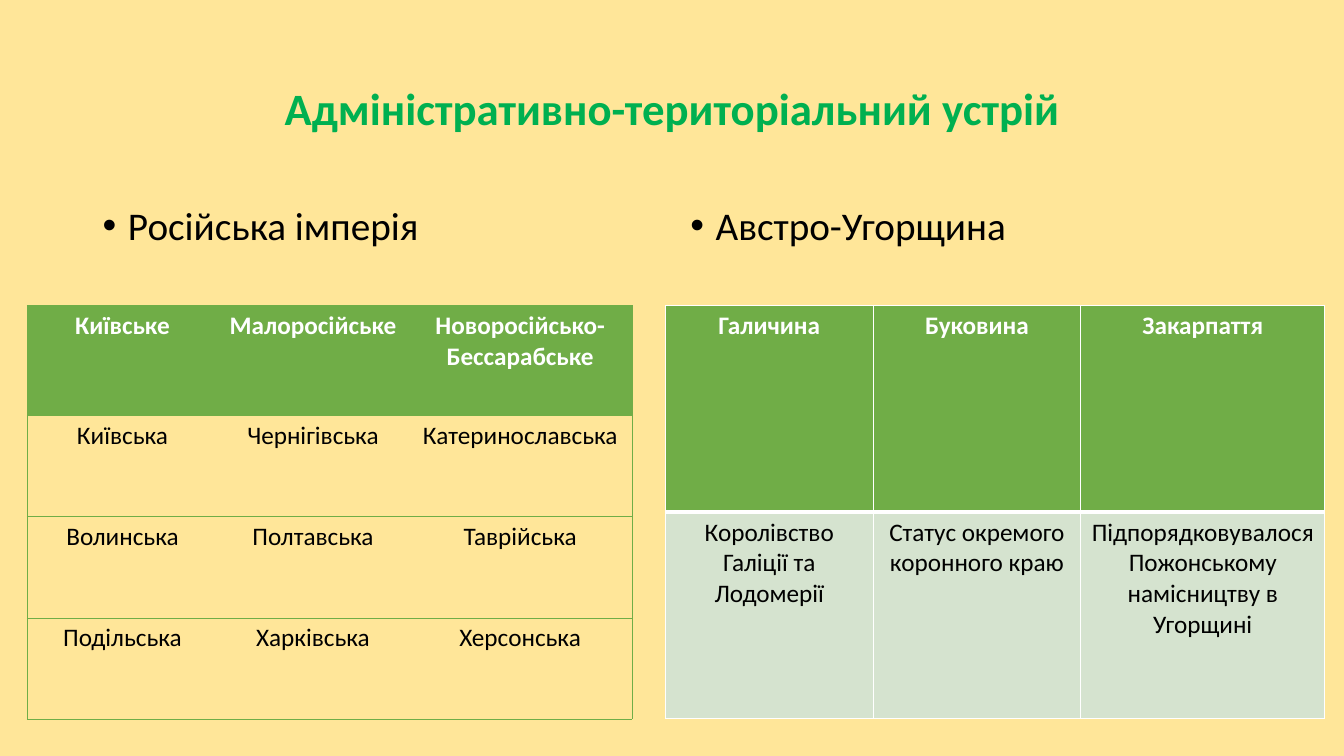
import pptx
import pptx.util
import pptx.dml.color
import pptx.enum.text
import pptx.oxml
import pptx.oxml.ns

Inches = pptx.util.Inches
Pt = pptx.util.Pt
Align = pptx.enum.text.PP_ALIGN
Anchor = pptx.enum.text.MSO_ANCHOR


class Deck:
    """Holds the style and the current slide, and draws each kind of element."""

    font = "Calibri"
    hues = {"sand": "FFE699", "title": "00B050", "leaf": "70AD47",
            "pale": "D5E3CF", "white": "FFFFFF", "black": "000000"}

    def __init__(self):
        self.show = pptx.Presentation()
        self.show.slide_width = Inches(13.33)
        self.show.slide_height = Inches(7.5)
        self.slide = self.show.slides.add_slide(self.show.slide_layouts[6])
        self.paint(self.slide.background.fill, "sand")

    def hue(self, name):
        return pptx.dml.color.RGBColor.from_string(self.hues[name])

    def paint(self, fill, name):
        if name is None:
            fill.background()
        else:
            fill.solid()
            fill.fore_color.rgb = self.hue(name)

    def style(self, para, size, name, bold=False):
        para.font.name = self.font
        para.font.size = Pt(size)
        para.font.bold = bold
        para.font.color.rgb = self.hue(name)

    def box(self, words, left, top, width, height):
        frame = self.slide.shapes.add_textbox(
            Inches(left), Inches(top), Inches(width), Inches(height)).text_frame
        frame.word_wrap = True
        para = frame.paragraphs[0]
        para.text = words
        para.line_spacing = 0.9
        return frame, para

    def title(self, words, *place):
        frame, para = self.box(words, *place)
        frame.vertical_anchor = Anchor.MIDDLE
        para.alignment = Align.CENTER
        self.style(para, 32, "title", True)

    def point(self, words, *place):
        para = self.box(words, *place)[1]
        props = para._p.get_or_add_pPr()
        props.set("marL", str(Inches(0.25)))
        props.set("indent", str(-Inches(0.25)))
        space = pptx.oxml.ns.nsdecls("a")
        props.append(pptx.oxml.parse_xml(f'<a:buFont {space} typeface="Arial"/>'))
        props.append(pptx.oxml.parse_xml(f'<a:buChar {space} char="•"/>'))
        self.style(para, 28, "black")

    def edge(self, cell, side, name, width):
        inner = "<a:noFill/>"
        if name:
            inner = f'<a:solidFill><a:srgbClr val="{self.hues[name]}"/></a:solidFill>'
        cell._tc.get_or_add_tcPr().append(pptx.oxml.parse_xml(
            f'<a:ln{side} {pptx.oxml.ns.nsdecls("a")} w="{Pt(width)}">{inner}</a:ln{side}>'))

    def table(self, data, left, top, cols, rows, line, body, wide, split, rule):
        grid = self.slide.shapes.add_table(
            len(rows), len(cols), Inches(left), Inches(top),
            Inches(sum(cols)), Inches(sum(rows))).table
        grid.horz_banding = False
        for col, width in zip(grid.columns, cols):
            col.width = Inches(width)
        for row, height in zip(grid.rows, rows):
            row.height = Inches(height)
        last = len(cols) - 1
        for i, names in enumerate(data):
            for j, name in enumerate(names):
                cell = grid.cell(i, j)
                self.edge(cell, "L", line if split or j == 0 else None, wide)
                self.edge(cell, "R", line if split or j == last else None, wide)
                self.edge(cell, "T", line, rule if i == 1 else wide)
                self.edge(cell, "B", line, rule if i == 0 else wide)
                self.paint(cell.fill, body if i else "leaf")
                para = cell.text_frame.paragraphs[0]
                para.text = name
                para.alignment = Align.CENTER
                self.style(para, 18, "black" if i else "white", i == 0)


def main():
    deck = Deck()
    deck.title("Адміністративно-територіальний устрій", 0.92, 0.38, 11.5, 1.45)
    deck.point("Російська імперія", 0.92, 2, 5.67, 0.8)
    deck.point("Австро-Угорщина", 6.75, 2, 5.67, 0.8)
    deck.table(
        [["Київське", "Малоросійське", "Новоросійсько-Бессарабське"],
         ["Київська", "Чернігівська", "Катеринославська"],
         ["Волинська", "Полтавська", "Таврійська"],
         ["Подільська", "Харківська", "Херсонська"]],
        0.27, 3.03, [1.89, 1.89, 2.22], [1.09] + [1.005] * 3,
        line="leaf", body=None, wide=0.5, split=False, rule=0.5)
    deck.table(
        [["Галичина", "Буковина", "Закарпаття"],
         ["Королівство Галіції та Лодомерії", "Статус окремого коронного краю",
          "Підпорядковувалося Пожонському намісництву в Угорщині"]],
        6.6, 3.03, [2.06, 2.06, 2.42], [2.05] * 2,
        line="white", body="pale", wide=1, split=True, rule=3)
    deck.show.save("out.pptx")


if __name__ == "__main__":
    main()
